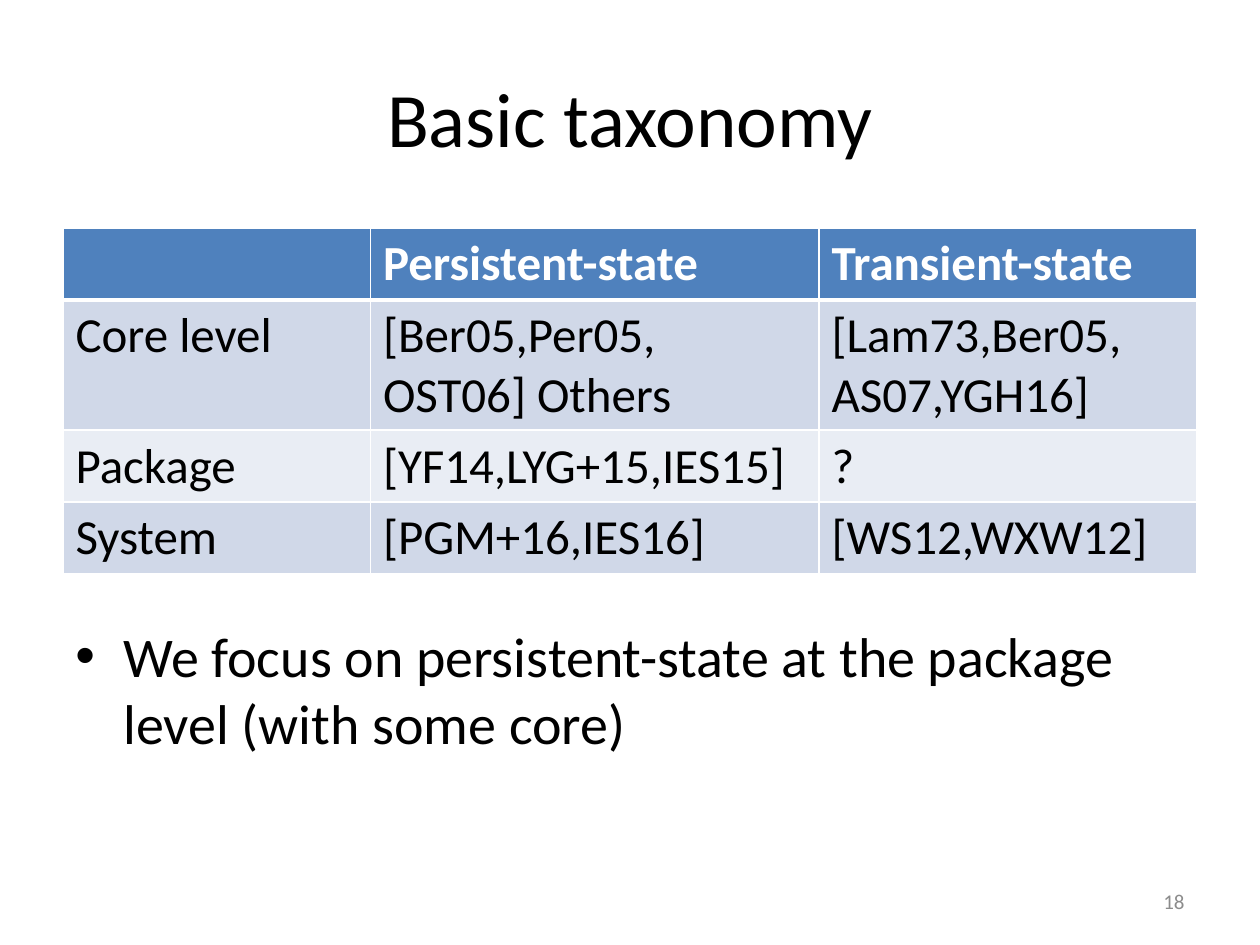
from lxml.etree import SubElement
from pptx import Presentation
from pptx.dml.color import RGBColor
from pptx.enum.text import MSO_ANCHOR as Anchor, PP_ALIGN as Align
from pptx.oxml.ns import qn
from pptx.util import Inches, Pt

FONT = "Calibri"
BLACK = RGBColor(0x00, 0x00, 0x00)
WHITE = RGBColor(0xFF, 0xFF, 0xFF)
GRAY = RGBColor(0x8C, 0x8C, 0x8C)
HEADER_BLUE = RGBColor(0x4F, 0x81, 0xBD)
BANDS = (RGBColor(0xE9, 0xED, 0xF4), RGBColor(0xD0, 0xD8, 0xE8))

COLUMN_WIDTHS = (2.44, 3.56, 3)
ROW_HEIGHTS = (0.57, 1.02, 0.57, 0.57)
TAXONOMY = (
    ("", "Persistent-state", "Transient-state"),
    ("Core level", "[Ber05,Per05,\vOST06] Others", "[Lam73,Ber05,\vAS07,YGH16]"),
    ("Package", "[YF14,LYG+15,IES15]", "?"),
    ("System", "[PGM+16,IES16]", "[WS12,WXW12]"),
)


def set_text(text_frame, text, size, color, bold=False):
    text_frame.text = text
    for run in text_frame.paragraphs[0].runs:
        run.font.name = FONT
        run.font.size = Pt(size)
        run.font.bold = bold
        run.font.color.rgb = color


def add_text(slide, box, text, size, color, align=Align.LEFT, anchor=Anchor.TOP):
    text_frame = slide.shapes.add_textbox(*map(Inches, box)).text_frame
    text_frame.word_wrap = True
    text_frame.vertical_anchor = anchor
    set_text(text_frame, text, size, color)
    paragraph = text_frame.paragraphs[0]
    paragraph.alignment = align
    return paragraph


def add_bullet(slide, box, text):
    paragraph = add_text(slide, box, text, 32, BLACK)
    properties = paragraph._p.get_or_add_pPr()
    properties.set("marL", str(Inches(0.38)))
    properties.set("indent", str(Inches(-0.38)))
    SubElement(properties, qn("a:buFont"), typeface="Arial")
    SubElement(properties, qn("a:buChar"), char="•")


def set_borders(cell, widths):
    """Draw white borders; widths holds points for left, right, top, bottom."""
    properties = cell._tc.get_or_add_tcPr()
    for index, (side, width) in enumerate(zip("LRTB", widths)):
        line = SubElement(properties, qn(f"a:ln{side}"), w=str(Pt(width)))
        fill = SubElement(line, qn("a:solidFill"))
        SubElement(fill, qn("a:srgbClr"), val=str(WHITE))
        properties.remove(line)
        properties.insert(index, line)


def add_taxonomy_table(slide, box):
    table = slide.shapes.add_table(
        len(TAXONOMY), len(COLUMN_WIDTHS), *map(Inches, box)).table
    for column, width in zip(table.columns, COLUMN_WIDTHS):
        column.width = Inches(width)
    for index, (row, height, texts) in enumerate(zip(table.rows, ROW_HEIGHTS, TAXONOMY)):
        row.height = Inches(height)
        header = index == 0
        top = 3 if index == 1 else 1
        bottom = 3 if header else 1
        for cell, text in zip(row.cells, texts):
            set_text(cell.text_frame, text, 28, WHITE if header else BLACK, header)
            cell.fill.solid()
            cell.fill.fore_color.rgb = HEADER_BLUE if header else BANDS[index % 2]
            set_borders(cell, (1, 1, top, bottom))


def build_taxonomy_slide(presentation):
    slide = presentation.slides.add_slide(presentation.slide_layouts[6])
    add_text(slide, (0.5, 0.3, 9, 1.25), "Basic taxonomy", 44, BLACK,
             Align.CENTER, Anchor.MIDDLE)
    add_bullet(slide, (0.5, 4.88, 9, 1.82),
               "We focus on persistent-state at the package level (with some core)")
    add_taxonomy_table(slide, (0.5, 1.81, 9, 2.73))
    add_text(slide, (7.17, 6.95, 2.33, 0.4), "18", 12, GRAY,
             Align.RIGHT, Anchor.MIDDLE)


def main():
    presentation = Presentation()
    presentation.slide_width = Inches(10)
    presentation.slide_height = Inches(7.5)
    build_taxonomy_slide(presentation)
    presentation.save("out.pptx")


if __name__ == "__main__":
    main()
